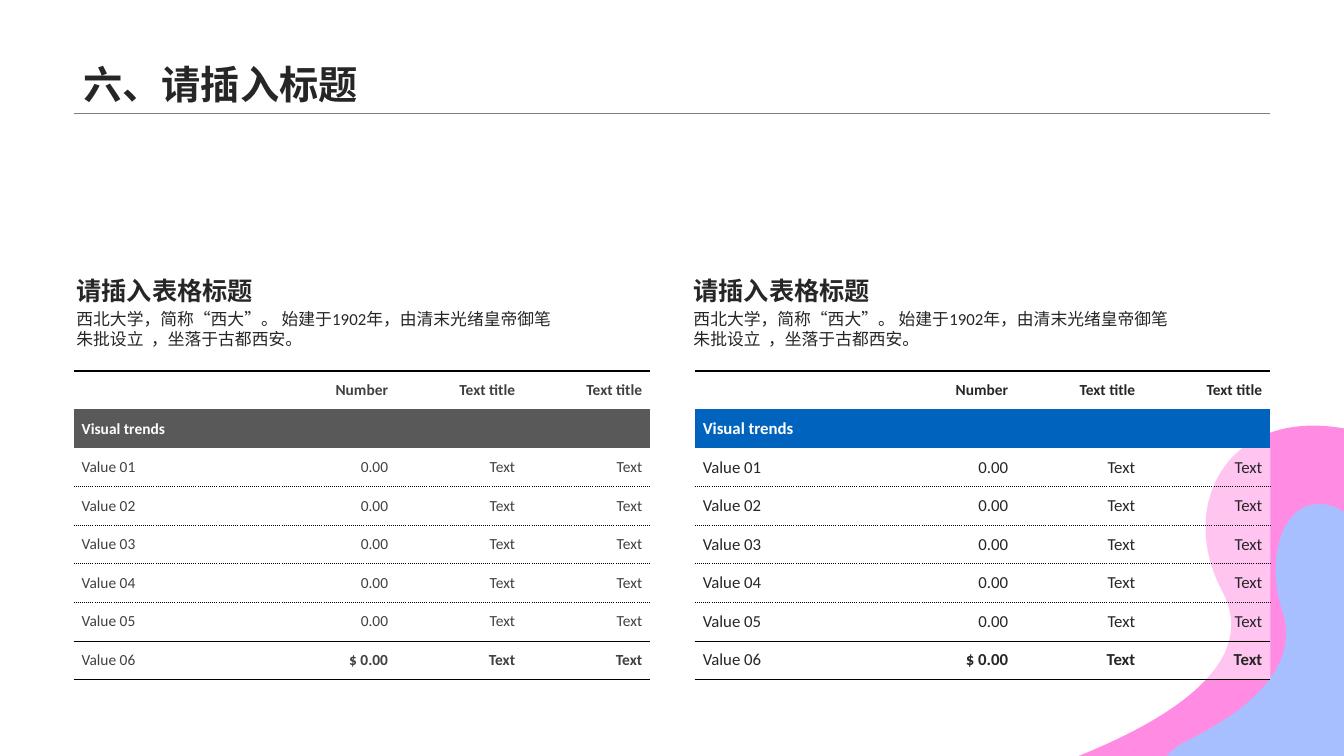
from lxml.etree import SubElement
from pptx import Presentation
from pptx.dml.color import RGBColor
from pptx.enum.lang import MSO_LANGUAGE_ID as Language
from pptx.enum.shapes import MSO_CONNECTOR as Connector
from pptx.enum.text import MSO_ANCHOR as Anchor, PP_ALIGN as Align
from pptx.oxml.ns import qn
from pptx.util import Inches, Pt

INK = "262626"
VALUE_WIDTHS = [1.11, 1.26, 1.26]
ROW_HEIGHT = 3.06 / 8

# Each edge is (width in points, dash); None leaves it undrawn
RULE, HAIRLINE, DOTTED = (1, "solid"), (0.25, "solid"), (0.25, "sysDot")
ROW_EDGES = [RULE, None, None] + [DOTTED] * 4 + [HAIRLINE, RULE]

TABLE_ROWS = [
    ["", "Number", "Text title", "Text title"],
    ["Visual trends", "", "", ""],
    *[[f"Value {number:02}", "0.00", "Text", "Text"] for number in range(1, 6)],
    ["Value 06", "$ 0.00", "Text", "Text"],
]

# Start point, then Bezier curves (two controls and an end), then the last corner
PINK_WAVE = (
    (9.01, 8.45),
    [[(9.01, 8.25), (9.18, 7.99), (9.74, 7.83)],
     [(11.22, 7.39), (12.58, 6.72), (12.12, 5.86)],
     [(11.66, 4.99), (12.2, 3.99), (13.43, 4.27)],
     [(13.77, 4.34), (14.05, 4.55), (14.28, 4.8)]],
    (14.28, 8.45),
)
BLUE_WAVE = (
    (11.49, 7.75),
    [[(11.48, 7.62), (11.55, 7.46), (11.77, 7.35)],
     [(12.36, 7.06), (12.9, 6.63), (12.72, 6.07)],
     [(12.53, 5.5), (12.75, 4.85), (13.24, 5.03)],
     [(13.37, 5.08), (13.48, 5.21), (13.58, 5.38)]],
    (13.58, 7.75),
)


def rgb(color):
    return RGBColor.from_string(color)


def paint(fill, color, opacity=100):
    fill.solid()
    fill.fore_color.rgb = rgb(color)
    if opacity < 100:
        color_node = fill._xPr.find(qn("a:solidFill"))[0]
        SubElement(color_node, qn("a:alpha"), val=str(opacity * 1000))


def write(frame, text, size=12, font="Calibri", color=INK, bold=False,
          align=Align.LEFT, spacing=None, language=None):
    para = frame.paragraphs[0]
    para.alignment = align
    para.line_spacing = spacing
    if not text:
        SubElement(para._p, qn("a:endParaRPr"), sz=str(size * 100))
        return
    span = para.add_run()
    span.text = text
    span.font.name, span.font.size, span.font.bold = font, Pt(size), bold
    span.font.color.rgb = rgb(color)
    if language:
        span.font.language_id = language


def draw_edges(cell, top, bottom):
    properties = cell._tc.get_or_add_tcPr()
    sides = {"a:lnL": None, "a:lnR": None, "a:lnT": top, "a:lnB": bottom}
    for position, (tag, edge) in enumerate(sides.items()):
        line = SubElement(properties, qn(tag))
        properties.insert(position, line)
        if edge is None:
            SubElement(line, qn("a:noFill"))
            continue
        width, dash = edge
        line.set("w", str(int(Pt(width))))
        SubElement(SubElement(line, qn("a:solidFill")), qn("a:srgbClr"), val="000000")
        SubElement(line, qn("a:prstDash"), val=dash)


def bend(shape, curves):
    """Turn the first straight segments of a freeform into Bezier curves."""
    segments = list(shape._element.iter(qn("a:lnTo")))
    for segment, controls in zip(segments, curves):
        outline = segment.getparent()
        curve = SubElement(outline, qn("a:cubicBezTo"))
        outline.replace(segment, curve)
        for x, y in controls:
            SubElement(curve, qn("a:pt"), x=str(Inches(x) - shape.left),
                       y=str(Inches(y) - shape.top))


class Slide:
    def __init__(self, deck):
        self.shapes = deck.slides.add_slide(deck.slide_layouts[6]).shapes

    def rule(self, left, right, top):
        line = self.shapes.add_connector(Connector.STRAIGHT, Inches(left), Inches(top),
                                         Inches(right), Inches(top))
        line.line.color.rgb = rgb("808080")
        line.line.width = Pt(0.25)
        SubElement(line._element.spPr, qn("a:effectLst"))

    def wave(self, outline, color, opacity=100):
        start, curves, corner = outline
        stops = [controls[-1] for controls in curves] + [corner]
        builder = self.shapes.build_freeform(*map(Inches, start), scale=1.0)
        builder.add_line_segments([tuple(map(Inches, stop)) for stop in stops])
        shape = builder.convert_to_shape()
        bend(shape, curves)
        shape.shadow.inherit = False
        paint(shape.fill, color, opacity)
        shape.line.fill.background()

    def text(self, left, top, width, height, text, anchor=Anchor.TOP, **style):
        box = self.shapes.add_textbox(*map(Inches, (left, top, width, height)))
        box.text_frame.word_wrap = True
        box.text_frame.vertical_anchor = anchor
        write(box.text_frame, text, language=Language.SIMPLIFIED_CHINESE, **style)

    def table(self, left, top, label_width, band, ink, size, veil=None):
        """Add the value table; veil is the opacity of white behind its values."""
        widths = [label_width] + VALUE_WIDTHS
        last = len(TABLE_ROWS) - 1
        table = self.shapes.add_table(
            last + 1, len(widths), Inches(left), Inches(top),
            Inches(sum(widths)), Inches(ROW_HEIGHT * (last + 1))).table
        table.first_row = table.horz_banding = False
        for column, width in zip(table.columns, widths):
            column.width = Inches(width)
        for row, texts in enumerate(TABLE_ROWS):
            table.rows[row].height = Inches(ROW_HEIGHT)
            for column, text in enumerate(texts):
                cell = table.cell(row, column)
                cell.vertical_anchor = Anchor.MIDDLE
                cell.margin_left = cell.margin_right = Inches(0.08)
                cell.margin_top = cell.margin_bottom = Inches(0.04)
                if row == 1:
                    paint(cell.fill, band)
                elif row > 1 and veil:
                    paint(cell.fill, "FFFFFF", veil)
                else:
                    cell.fill.background()
                draw_edges(cell, ROW_EDGES[row], ROW_EDGES[row + 1])
                write(cell.text_frame, text,
                      size=size if row else 11,
                      color="FFFFFF" if row == 1 else ink,
                      bold=row < 2 or (row == last and column > 0),
                      align=Align.RIGHT if column else Align.LEFT)


def main():
    deck = Presentation()
    deck.slide_width, deck.slide_height = Inches(13.33), Inches(7.5)
    page = Slide(deck)
    page.rule(0.73, 12.6, 1.12)
    page.wave(PINK_WAVE, "FF33CC", opacity=56)
    page.wave(BLUE_WAVE, "A8BFFF")
    page.text(0.73, 0, 11.87, 1.12, "六、请插入标题", anchor=Anchor.BOTTOM,
              size=28, font="Arial", bold=True, spacing=0.9)
    page.table(0.73, 3.68, 2.09, band="595959", ink="404040", size=11)
    page.table(6.89, 3.68, 2.08, band="0063BE", ink=INK, size=12, veil=50)
    for left in (0.66, 6.78):
        page.text(left, 2.72, 4.2, 0.38, "请插入表格标题", size=18, bold=True, spacing=0.9)
        page.text(left, 3.01, 5.03, 0.51,
                  "西北大学，简称“西大”。 始建于1902年，由清末光绪皇帝御笔朱批设立  ，坐落于古都西安。")
    deck.save("out.pptx")


if __name__ == "__main__":
    main()
